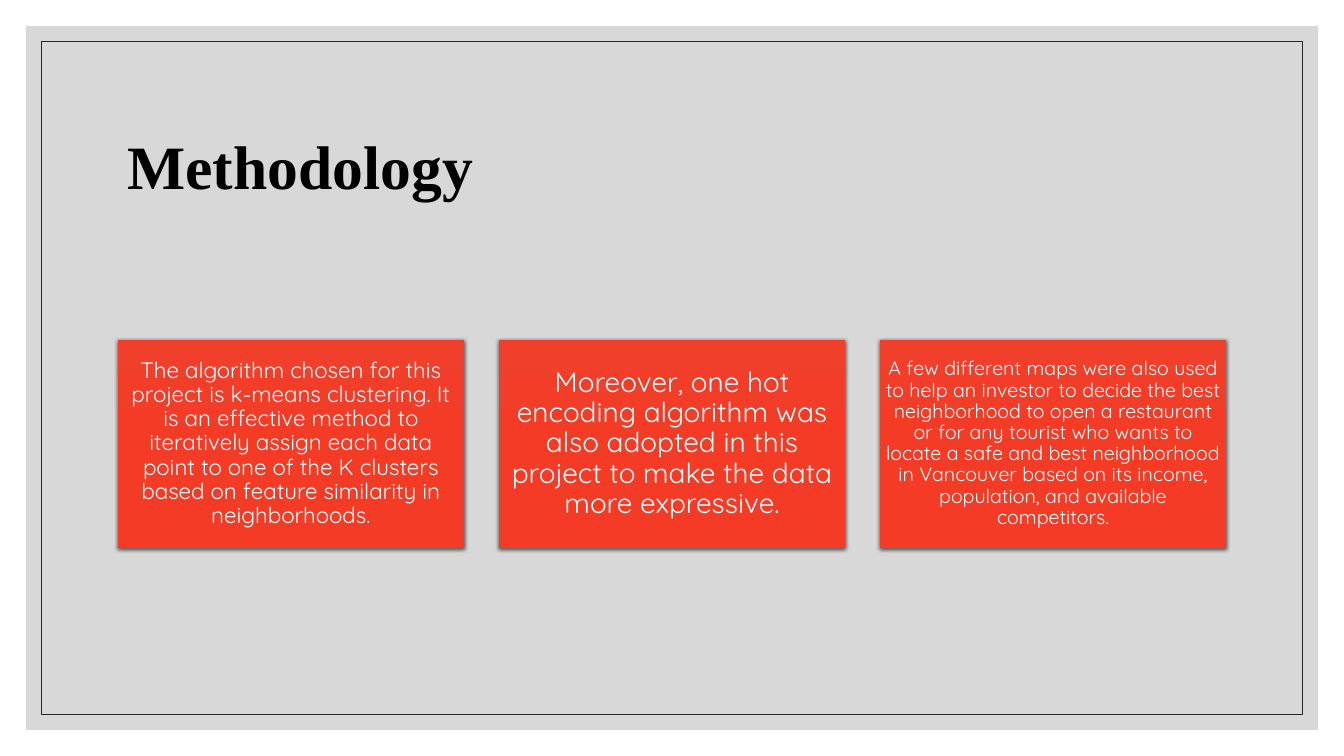
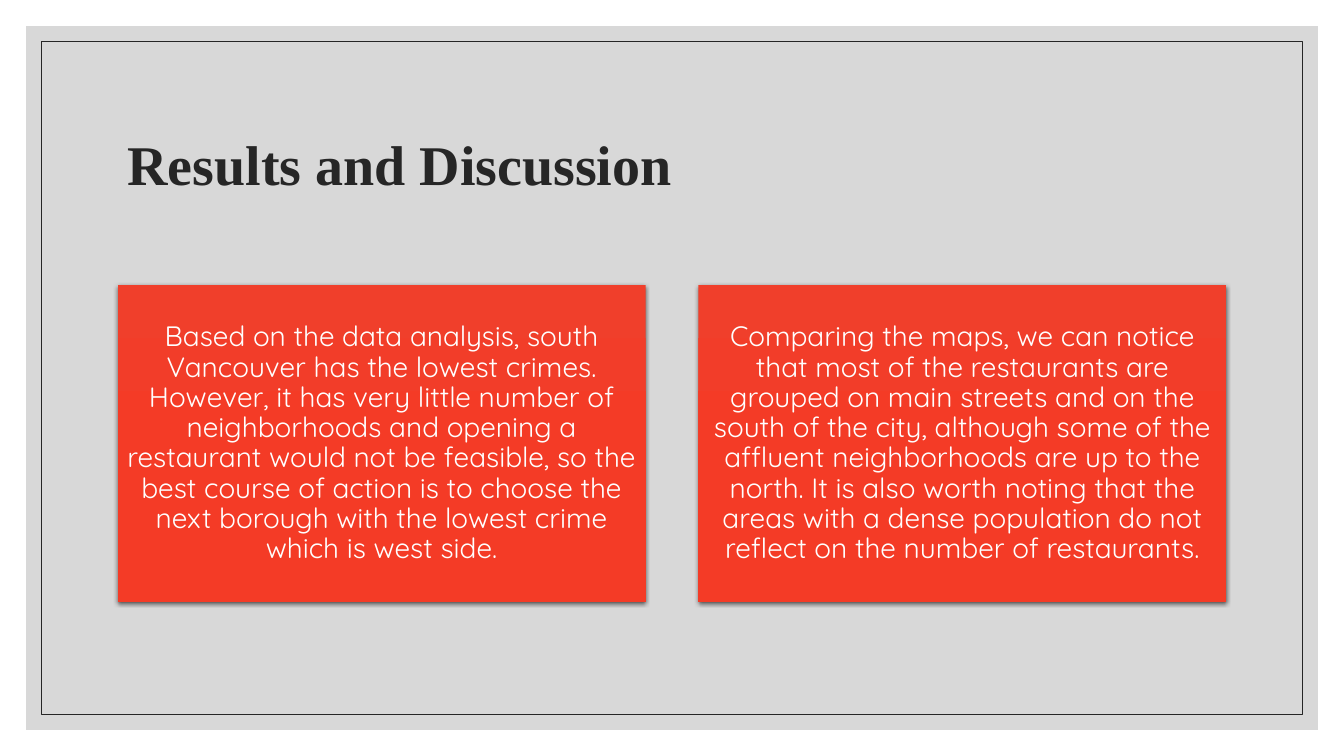
"""Build the methodology and results slides: framed background, title and a row of cards."""
from lxml import etree
from pptx import Presentation
from pptx.dml.color import RGBColor
from pptx.enum.shapes import MSO_SHAPE
from pptx.enum.text import MSO_ANCHOR, PP_ALIGN
from pptx.oxml import parse_xml
from pptx.oxml.ns import nsdecls, qn
from pptx.util import Pt

RECTANGLE = MSO_SHAPE.RECTANGLE
MIDDLE = MSO_ANCHOR.MIDDLE
LEFT, CENTER = PP_ALIGN.LEFT, PP_ALIGN.CENTER

COLORS = {
    "panel": "BFBFBF",
    "ink": "262626",
    "black": "000000",
    "white": "FFFFFF",
    "card_top": "F03F2B",
    "card_middle": "F43B26",
    "card_bottom": "F33B26",
}
TITLE_FONT, CARD_FONT = "Times New Roman", "Quicksand"

SLIDES = [
    {
        "title": "Methodology",
        "title_format": {"size": 44, "color": "black"},
        "cards": [
            ("The algorithm chosen for this project is k-means clustering. It is an "
             "effective method to iteratively assign each data point to one of the K "
             "clusters based on feature similarity in neighborhoods.", 16),
            ("Moreover, one hot encoding algorithm was also adopted in this project "
             "to make the data more expressive.", 20),
            ("A few different maps were also used to help an investor to decide the "
             "best neighborhood to open a restaurant or for any tourist who wants to "
             "locate a safe and best neighborhood in Vancouver based on its income, "
             "population, and available competitors.", 14),
        ],
    },
    {
        "title": "Results and Discussion",
        "title_format": {"size": 40, "color": "ink", "space_after": 8},
        "cards": [
            ("Based on the data analysis, south Vancouver has the lowest crimes. "
             "However, it has very little number of neighborhoods and opening a "
             "restaurant would not be feasible, so the best course of action is to "
             "choose the next borough with the lowest crime which is west side.", 20),
            ("Comparing the maps, we can notice that most of the restaurants are "
             "grouped on main streets and on the south of the city, although some of "
             "the affluent neighborhoods are up to the north. It is also worth noting "
             "that the areas with a dense population do not reflect on the number of "
             "restaurants.", 20),
        ],
    },
]

SLIDE_W, SLIDE_H = 960, 540
PANEL_MARGIN, BORDER_MARGIN = 18.7, 29.5
CONTENT_LEFT, CONTENT_W = 84, 792
TITLE_TOP, TITLE_H = 50.4, 108
CARDS_CENTER_Y = 316.9
GAP_RATIO, HEIGHT_RATIO, INSET_RATIO = 0.1, 0.6, 0.3


def rgb(name):
    return RGBColor.from_string(COLORS[name])


def write_text(shape, text, *, font, size, color, bold=False, align=LEFT,
               line_spacing=1.0, space_after=0, insets=(7.2, 3.6)):
    frame = shape.text_frame
    frame.word_wrap = True
    frame.vertical_anchor = MIDDLE
    frame.margin_left = frame.margin_right = Pt(insets[0])
    frame.margin_top = frame.margin_bottom = Pt(insets[1])
    paragraph = frame.paragraphs[0]
    paragraph.alignment = align
    paragraph.line_spacing = line_spacing
    paragraph.space_after = Pt(space_after)
    run = paragraph.add_run()
    run.text = text
    run.font.name, run.font.size, run.font.bold = font, Pt(size), bold
    run.font.color.rgb = rgb(color)


def add_rectangle(slide, left, top, width, height):
    rectangle = slide.shapes.add_shape(
        RECTANGLE, Pt(left), Pt(top), Pt(width), Pt(height))
    rectangle.shadow.inherit = False
    rectangle.line.fill.background()
    return rectangle


def add_frame(slide):
    panel, border = (
        add_rectangle(slide, margin, margin, SLIDE_W - 2 * margin, SLIDE_H - 2 * margin)
        for margin in (PANEL_MARGIN, BORDER_MARGIN))
    panel.fill.solid()
    panel.fill.fore_color.rgb = rgb("panel")
    panel_color = panel.fill._xPr.find(".//" + qn("a:srgbClr"))
    etree.SubElement(panel_color, qn("a:alpha"), val="60000")
    border.fill.background()
    border.line.color.rgb = rgb("ink")
    border.line.width = Pt(0.5)


def add_title(slide, text, title_format):
    title = slide.shapes.add_textbox(
        Pt(CONTENT_LEFT), Pt(TITLE_TOP), Pt(CONTENT_W), Pt(TITLE_H))
    write_text(title, text, font=TITLE_FONT, bold=True, line_spacing=1.5, **title_format)


def style_card(card):
    stops = "".join(
        f'<a:gs pos="{position}"><a:srgbClr val="{COLORS[name]}"/></a:gs>'
        for position, name in ((0, "card_top"), (50000, "card_middle"),
                               (100000, "card_bottom")))
    properties = card._element.spPr
    properties.find(qn("a:prstGeom")).addnext(parse_xml(
        f'<a:gradFill {nsdecls("a")} rotWithShape="1"><a:gsLst>{stops}</a:gsLst>'
        '<a:lin ang="5400000" scaled="0"/></a:gradFill>'))
    properties.find(qn("a:effectLst")).append(parse_xml(
        f'<a:outerShdw {nsdecls("a")} blurRad="{Pt(3)}" dist="{Pt(1)}" dir="5400000" '
        f'algn="ctr" rotWithShape="0"><a:srgbClr val="{COLORS["black"]}">'
        '<a:alpha val="63000"/></a:srgbClr></a:outerShdw>'))


def add_cards(slide, cards):
    count = len(cards)
    width = CONTENT_W / (count + GAP_RATIO * (count - 1))
    height = width * HEIGHT_RATIO
    for index, (text, size) in enumerate(cards):
        left = CONTENT_LEFT + index * width * (1 + GAP_RATIO)
        card = add_rectangle(slide, left, CARDS_CENTER_Y - height / 2, width, height)
        style_card(card)
        inset = size * INSET_RATIO
        write_text(card, text, font=CARD_FONT, size=size, color="white", align=CENTER,
                   line_spacing=0.9, insets=(inset, inset))


def main():
    deck = Presentation()
    deck.slide_width, deck.slide_height = Pt(SLIDE_W), Pt(SLIDE_H)
    blank = deck.slide_layouts[6]
    for content in SLIDES:
        slide = deck.slides.add_slide(blank)
        add_frame(slide)
        add_title(slide, content["title"], content["title_format"])
        add_cards(slide, content["cards"])
    deck.save("out.pptx")


if __name__ == "__main__":
    main()
